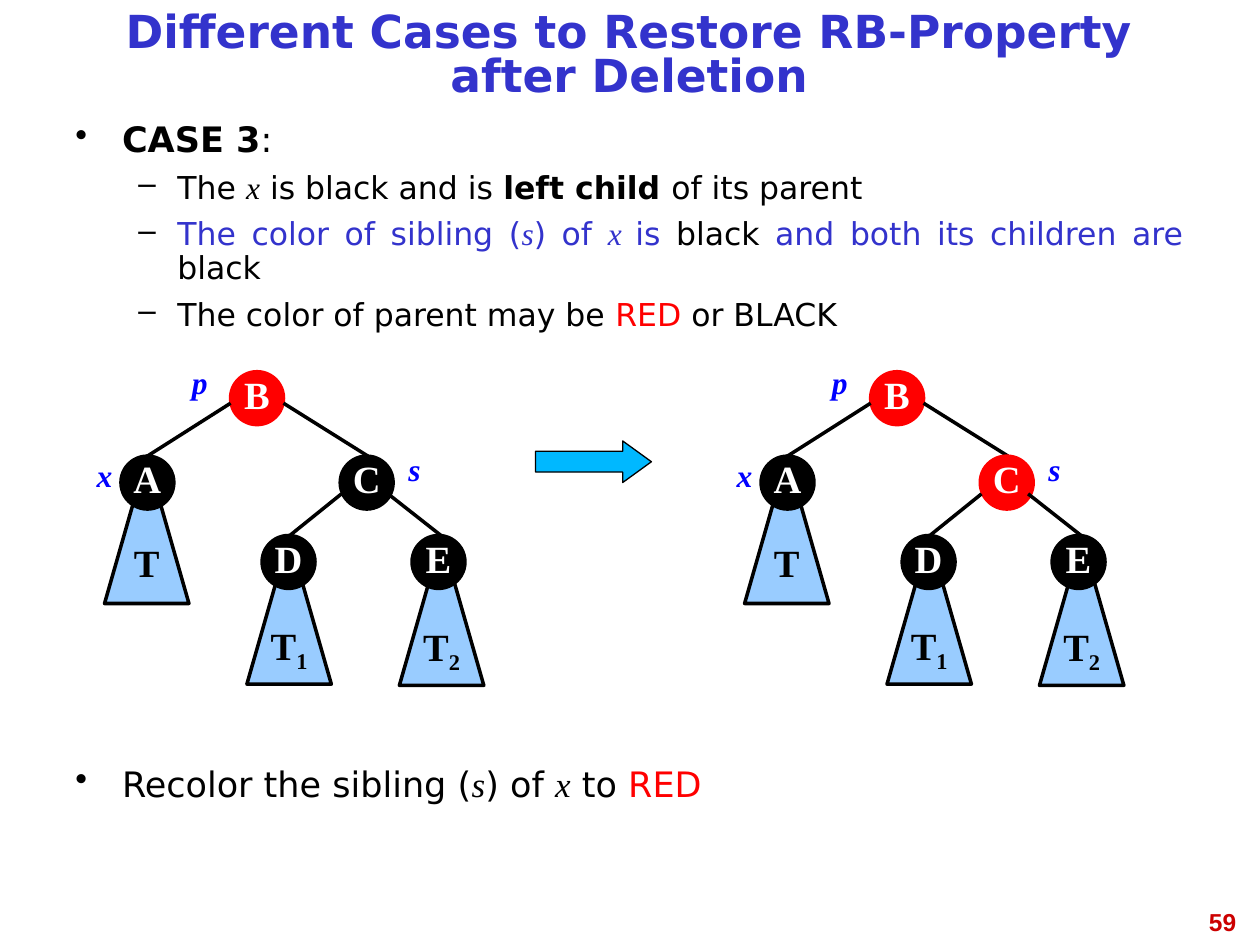
"""Build the slide on case 3 of restoring the red-black property after deletion."""
from lxml import etree
from pptx import Presentation
from pptx import util as u
from pptx.dml.color import RGBColor
from pptx.enum import shapes, text
from pptx.oxml.ns import qn

SANS, SERIF = "DejaVu Sans", "Times New Roman"
BLACK, WHITE, RED, INDIGO = "000000", "FFFFFF", "FF0000", "3333CC"
CENTER = text.PP_ALIGN.CENTER


def color(value):
    """Turn a hex string into a colour."""
    return RGBColor.from_string(value)


def write(paragraph, runs, **base):
    """Add runs of (text, format) that share a base format."""
    for words, changes in runs:
        run = paragraph.add_run()
        run.text = words
        look = {**base, **changes}
        run.font.color.rgb = color(look.pop("color"))
        if "baseline" in look:
            run.font._element.set("baseline", look.pop("baseline"))
        for key, value in look.items():
            setattr(run.font, key, value)


prs = Presentation()
prs.slide_width, prs.slide_height = u.Inches(10), u.Inches(7.5)
slide = prs.slides.add_slide(prs.slide_layouts[5])
parts = slide.shapes

title = parts.title
placement = {"left": 0.5, "top": 0.08, "width": 8.99, "height": 0.75}
for side, inches in placement.items():
    setattr(title, side, u.Inches(inches))
title.text_frame.auto_size = text.MSO_AUTO_SIZE.NONE
title.text_frame.vertical_anchor = text.MSO_ANCHOR.MIDDLE
heading = title.text_frame.paragraphs[0]
heading.alignment, heading.line_spacing = CENTER, 0.81
write(heading, [("Different Cases to Restore RB-Property after Deletion", {})],
      name=SANS, size=u.Pt(26), bold=True, color=INDIGO)

variable = {"name": SERIF, "italic": True}
blue, blue_variable = {"color": INDIGO}, {**variable, "color": INDIGO}
case_points = [
    (0, [("CASE 3", {"bold": True}), (":", {})]),
    (1, [("The ", {}), ("x", variable), (" is black and is ", {}),
         ("left child ", {"bold": True}), ("of its parent", {})]),
    (1, [("The color of sibling (", blue), ("s", blue_variable), (") of ", blue),
         ("x ", blue_variable), ("is ", blue), ("black", {}),
         (" and both its children are ", blue), ("black", {})]),
    (1, [("The color of parent may be ", {}), ("RED", {"color": RED}), (" or BLACK", {})]),
]
action_points = [
    (0, [("Recolor the sibling (", {}), ("s", variable), (") of ", {}),
         ("x", variable), (" to ", {}), ("RED", {"color": RED})]),
]
levels = [("•", 0.37, -0.37, 20), ("–", 0.81, -0.31, 18)]
for top, height, spacing, points in [(0.92, 1.92, 0.9, case_points), (6, 1.25, 1.0, action_points)]:
    body = parts.add_textbox(u.Inches(0.5), u.Inches(top), u.Inches(8.99), u.Inches(height)).text_frame
    body.word_wrap = True
    for index, (level, runs) in enumerate(points):
        point = body.add_paragraph() if index else body.paragraphs[0]
        mark, margin, indent, size = levels[level]
        properties = point._p.get_or_add_pPr()
        properties.set("marL", str(u.Inches(margin)))
        properties.set("indent", str(u.Inches(indent)))
        mark_color = etree.SubElement(properties, qn("a:buClr"))
        etree.SubElement(mark_color, qn("a:srgbClr")).set("val", BLACK)
        etree.SubElement(properties, qn("a:buChar")).set("char", mark)
        point.level, point.line_spacing = level, spacing
        point.alignment = text.PP_ALIGN.JUSTIFY
        if index:
            point.space_before = u.Pt(7)
        write(point, runs, name=SANS, size=u.Pt(size), color=BLACK)

OVAL, TRIANGLE = shapes.MSO_SHAPE.OVAL, shapes.MSO_SHAPE.ISOSCELES_TRIANGLE
stages = [
    ([("B", 1.83, 2.95)],
     [(2.25, 3.2, 2.92, 3.62), (1.17, 3.62, 1.83, 3.2)],
     [("T", "", 0.83, 3.62)]),
    ([("C", 2.7, 3.62), ("A", 0.96, 3.62)],
     [(2.3, 4.25, 2.71, 3.92), (3.5, 4.25, 3.08, 3.92)],
     [("T", "1", 1.96, 4.26), ("T", "2", 3.17, 4.27)]),
    ([("D", 2.08, 4.25), ("E", 3.27, 4.25)], [], []),
]
pointers = [("p", 1.17, 2.83, 0.83), ("s", 3, 3.52, 0.58), ("x", 0.58, 3.57, 0.5)]
for shift, red_nodes in [(0, "B"), (5.08, "BC")]:
    for nodes, edges, subtrees in stages:
        figures = []
        for key, left, top in nodes:
            fill = RED if key in red_nodes else BLACK
            figures.append((OVAL, left, top, 0.42, 0.42, fill, fill, WHITE, [(key, {})]))
        for key, subscript, left, top in subtrees:
            runs = [(key, {})] + [(digit, {"baseline": "-25000"}) for digit in subscript]
            figures.append((TRIANGLE, left, top, 0.67, 1.17, "99CCFF", BLACK, BLACK, runs))
        for kind, left, top, width, height, fill, outline, ink, runs in figures:
            figure = parts.add_shape(kind, u.Inches(left + shift), u.Inches(top),
                                     u.Inches(width), u.Inches(height))
            figure.shadow.inherit = False
            figure.fill.solid()
            figure.fill.fore_color.rgb = color(fill)
            figure.line.color.rgb, figure.line.width = color(outline), u.Pt(2)
            frame = figure.text_frame
            frame.word_wrap, frame.vertical_anchor = False, text.MSO_ANCHOR.MIDDLE
            label = frame.paragraphs[0]
            label.alignment, label.line_spacing = CENTER, 0.81
            write(label, runs, name=SERIF, size=u.Pt(22), bold=True, color=ink)
        for x1, y1, x2, y2 in edges:
            edge = parts.add_connector(shapes.MSO_CONNECTOR.STRAIGHT, u.Inches(x1 + shift),
                                       u.Inches(y1), u.Inches(x2 + shift), u.Inches(y2))
            edge.line.color.rgb, edge.line.width = color(BLACK), u.Pt(2)
            etree.SubElement(edge._element.spPr, qn("a:effectLst"))
    for key, left, top, width in pointers:
        frame = parts.add_textbox(u.Inches(left + shift), u.Inches(top),
                                  u.Inches(width), u.Inches(0.4)).text_frame
        frame.word_wrap = True
        frame.paragraphs[0].alignment = CENTER
        write(frame.paragraphs[0], [(key, {})], name=SERIF, size=u.Pt(18),
              bold=True, italic=True, color="0000FF")

arrow = parts.add_shape(shapes.MSO_SHAPE.RIGHT_ARROW, u.Inches(4.25), u.Inches(3.5),
                        u.Inches(0.92), u.Inches(0.33))
arrow.adjustments[1] = 0.69
arrow.shadow.inherit = False
arrow.fill.solid()
arrow.fill.fore_color.rgb = color("00B8FF")
arrow.line.color.rgb, arrow.line.width = color(BLACK), u.Pt(0.75)

page = parts.add_textbox(u.Inches(7.58), u.Inches(7.15), u.Inches(2.33), u.Inches(0.52)).text_frame
page.word_wrap = True
page.paragraphs[0].alignment = text.PP_ALIGN.RIGHT
write(page.paragraphs[0], [("59", {})], name="Arial", size=u.Pt(14), bold=True, color="CC0000")

prs.save("out.pptx")
